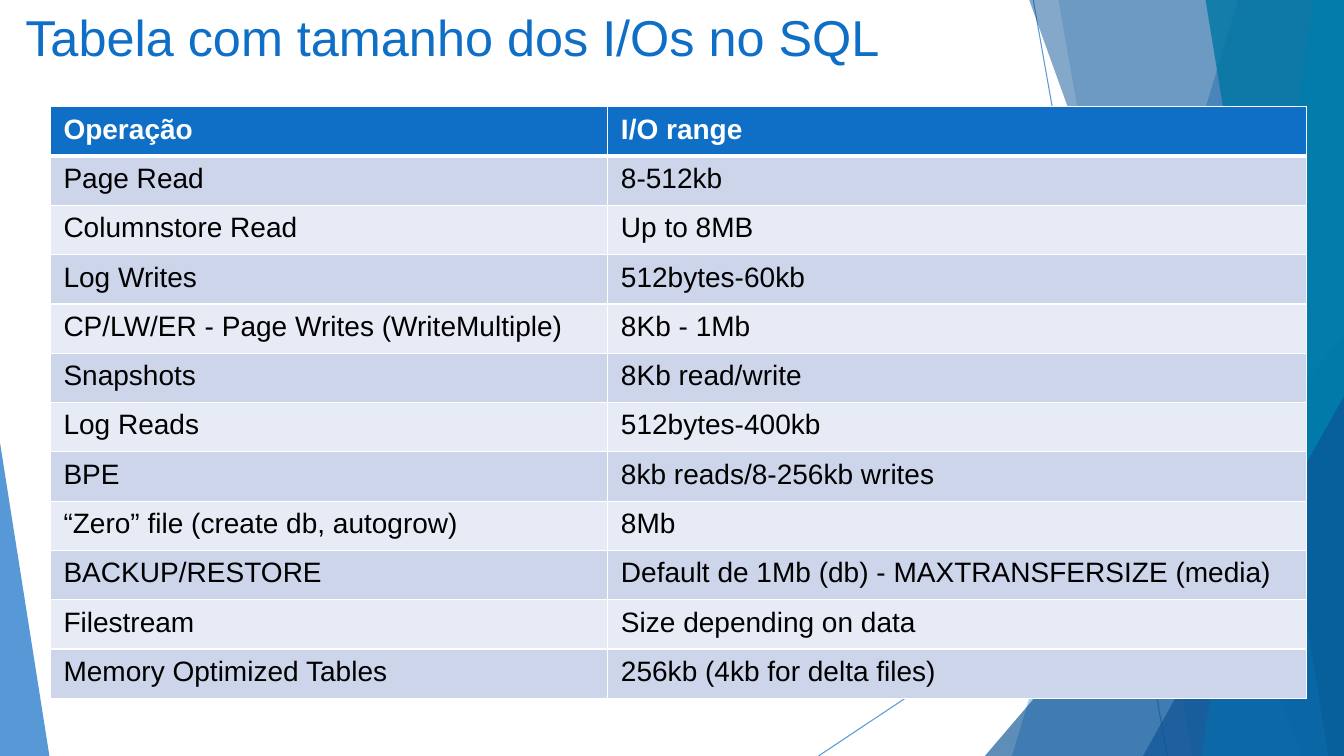
"""Build the slide that lists SQL I/O sizes by operation."""
import pptx
import pptx.dml.color
import pptx.enum.shapes
import pptx.enum.text
import pptx.oxml
import pptx.oxml.ns
import pptx.util

RGBColor = pptx.dml.color.RGBColor
BLUE = RGBColor(0x0F, 0x6F, 0xC6)
NAVY = RGBColor(0x0B, 0x53, 0x94)
CYAN = RGBColor(0x00, 0x9D, 0xD9)
TEAL = RGBColor(0x00, 0x76, 0xA3)
WHITE = RGBColor(0xFF, 0xFF, 0xFF)
BLACK = RGBColor(0x00, 0x00, 0x00)
BAND_DARK = RGBColor(0xCC, 0xD5, 0xEA)
BAND_LIGHT = RGBColor(0xE7, 0xEB, 0xF5)

SLIDE_WIDTH = pptx.util.Inches(13.33)
SLIDE_HEIGHT = pptx.util.Inches(7.5)
FONT = "Arial"

OPERATIONS = [
    ("Operação", "I/O range"),
    ("Page Read", "8-512kb"),
    ("Columnstore Read", "Up to 8MB"),
    ("Log Writes", "512bytes-60kb"),
    ("CP/LW/ER - Page Writes (WriteMultiple)", "8Kb - 1Mb"),
    ("Snapshots", "8Kb read/write"),
    ("Log Reads", "512bytes-400kb"),
    ("BPE", "8kb reads/8-256kb writes"),
    ("“Zero” file (create db, autogrow)", "8Mb"),
    ("BACKUP/RESTORE", "Default de 1Mb (db) - MAXTRANSFERSIZE (media)"),
    ("Filestream", "Size depending on data"),
    ("Memory Optimized Tables", "256kb (4kb for delta files)"),
]


def across(percent):
    """Return a share of the slide's width."""
    return round(SLIDE_WIDTH * percent / 100)


def down(percent):
    """Return a share of the slide's height."""
    return round(SLIDE_HEIGHT * percent / 100)


def set_opacity(element, percent):
    """Make the colour inside an element partly transparent."""
    for colour in element.xpath(".//a:srgbClr"):
        alpha = pptx.oxml.ns.qn("a:alpha")
        colour.makeelement(alpha)
        colour.append(colour.makeelement(alpha, {"val": str(percent * 1000)}))


def style_facet(facet, colour, opacity):
    """Give a facet a flat transparent fill without outline or shadow."""
    facet.shadow.inherit = False
    facet.line.fill.background()
    facet.fill.solid()
    facet.fill.fore_color.rgb = colour
    set_opacity(facet._element.spPr, opacity)


def add_pane(slide, top_x, bottom_x, colour, opacity):
    """Add a full-height pane from a slanted left edge to the slide's right."""
    outline = slide.shapes.build_freeform(across(top_x), 0)
    outline.add_line_segments(
        [(SLIDE_WIDTH, 0), (SLIDE_WIDTH, SLIDE_HEIGHT), (across(bottom_x), SLIDE_HEIGHT)]
    )
    style_facet(outline.convert_to_shape(), colour, opacity)


def add_corner(slide, left, right, top, apex, colour, opacity):
    """Add a triangle that stands on the slide's bottom edge."""
    corner = slide.shapes.add_shape(
        pptx.enum.shapes.MSO_SHAPE.ISOSCELES_TRIANGLE,
        across(left), down(top), across(right - left), down(100 - top),
    )
    corner.adjustments[0] = apex
    style_facet(corner, colour, opacity)


def add_ray(slide, start, end):
    """Add a thin transparent line between two points."""
    ray = slide.shapes.add_connector(
        pptx.enum.shapes.MSO_CONNECTOR.STRAIGHT,
        across(start[0]), down(start[1]), across(end[0]), down(end[1]),
    )
    ray.line.color.rgb = BLUE
    ray.line.width = pptx.util.Pt(0.75)
    properties = ray._element.spPr
    set_opacity(properties, 70)
    properties.append(properties.makeelement(pptx.oxml.ns.qn("a:effectLst")))


def style_text(frame, size, colour, bold=False):
    """Format every run in a text frame."""
    for paragraph in frame.paragraphs:
        for run in paragraph.runs:
            run.font.name = FONT
            run.font.size = pptx.util.Pt(size)
            run.font.bold = bold
            run.font.color.rgb = colour


def add_borders(cell, top, bottom):
    """Draw white borders around a cell, with top and bottom widths in points."""
    properties = cell._tc.get_or_add_tcPr()
    namespace = pptx.oxml.ns.nsdecls("a")
    widths = {"lnL": 1, "lnR": 1, "lnT": top, "lnB": bottom}
    for position, (side, width) in enumerate(widths.items()):
        border = pptx.oxml.parse_xml(
            f'<a:{side} {namespace} w="{pptx.util.Pt(width)}"><a:solidFill>'
            f'<a:srgbClr val="{WHITE}"/></a:solidFill></a:{side}>'
        )
        properties.insert(position, border)


def fill_cell(cell, text, row):
    """Write and format one cell according to its row."""
    header = row == 0
    cell.text_frame.text = text
    style_text(cell.text_frame, 20, WHITE if header else BLACK, header)
    cell.margin_left = cell.margin_right = pptx.util.Inches(0.13)
    cell.margin_top = cell.margin_bottom = pptx.util.Inches(0.07)
    cell.fill.solid()
    cell.fill.fore_color.rgb = BLUE if header else (BAND_LIGHT, BAND_DARK)[row % 2]
    add_borders(cell, 3 if row == 1 else 1, 3 if header else 1)


def add_operations(slide, left, top, widths, row_height):
    """Add the table of operations and their I/O sizes."""
    operations = slide.shapes.add_table(
        len(OPERATIONS), len(widths), across(left), down(top),
        across(sum(widths)), down(row_height * len(OPERATIONS)),
    ).table
    for column, width in zip(operations.columns, widths):
        column.width = across(width)
    for row, texts in enumerate(OPERATIONS):
        operations.rows[row].height = down(row_height)
        for column, text in enumerate(texts):
            fill_cell(operations.cell(row, column), text, row)


def set_title(slide, text):
    """Place and format the slide title."""
    title = slide.shapes.title
    title.left, title.top = across(1.13), down(0.13)
    title.width, title.height = across(70.5), down(11.87)
    frame = title.text_frame
    frame.text = text
    frame.word_wrap = True
    frame.auto_size = pptx.enum.text.MSO_AUTO_SIZE.NONE
    frame.vertical_anchor = pptx.enum.text.MSO_ANCHOR.TOP
    frame.paragraphs[0].alignment = pptx.enum.text.PP_ALIGN.LEFT
    style_text(frame, 36, BLUE)


def add_backdrop(slide):
    """Add the overlapping facets at the slide's edges."""
    add_ray(slide, (76.88, 0), (86.85, 100))
    add_ray(slide, (100, 53.73), (60.9, 100))
    add_pane(slide, 92.1, 75.3, BLUE, 36)
    add_pane(slide, 78.75, 88.73, BLUE, 20)
    add_corner(slide, 73.28, 100, 44.4, 1, NAVY, 66)
    add_pane(slide, 76.58, 96.83, NAVY, 50)
    add_pane(slide, 97.73, 89.4, CYAN, 70)
    add_pane(slide, 89.7, 98.85, TEAL, 80)
    add_corner(slide, 85.05, 100, 52.4, 1, NAVY, 66)
    add_corner(slide, 0, 3.68, 58.53, 0, BLUE, 70)


def main():
    """Build and save the slide."""
    deck = pptx.Presentation()
    deck.slide_width, deck.slide_height = SLIDE_WIDTH, SLIDE_HEIGHT
    slide = deck.slides.add_slide(deck.slide_layouts[5])
    set_title(slide, "Tabela com tamanho dos I/Os no SQL")
    add_backdrop(slide)
    add_operations(slide, 3.75, 14.13, (41.48, 51.98), 6.52)
    deck.save("out.pptx")


if __name__ == "__main__":
    main()
